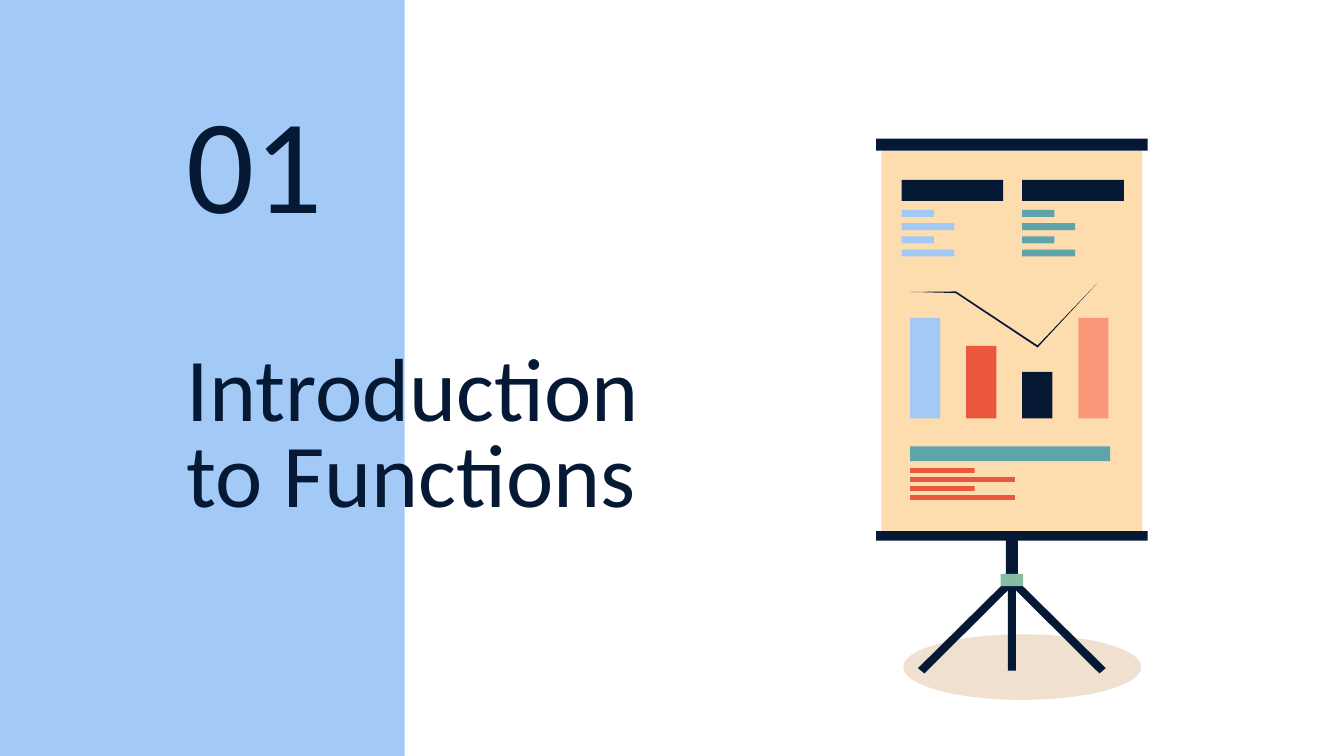
from lxml import etree
from pptx import Presentation
from pptx.dml.color import RGBColor
from pptx.enum.shapes import MSO_SHAPE
from pptx.enum.text import MSO_ANCHOR
from pptx.oxml.ns import qn
from pptx.util import Cm, Pt

NAVY, BLUE, TEAL, RED = "051934", "A3CAF7", "5FA4AB", "EB573D"
SALMON, PAPER, GREEN, BROWN = "FA9778", "FDDCAE", "85BCA2", "B45F06"


def paint(shape, color, alpha=None):
    shape.shadow.inherit = False
    shape.line.fill.background()
    shape.fill.solid()
    shape.fill.fore_color.rgb = RGBColor.from_string(color)
    if alpha is not None:
        tint = shape.fill._xPr.find(".//" + qn("a:srgbClr"))
        etree.SubElement(tint, qn("a:alpha")).set("val", str(alpha * 1000))


def block(shapes, box, x, y, w, h, color, kind=MSO_SHAPE.RECTANGLE, alpha=None):
    shape = shapes.add_shape(kind, Cm(box[0] + x), Cm(box[1] + y), Cm(w), Cm(h))
    paint(shape, color, alpha)


def polygon(shapes, box, points, color):
    spots = [(Cm(box[0] + x), Cm(box[1] + y)) for x, y in points]
    builder = shapes.build_freeform(*spots[0])
    builder.add_line_segments(spots[1:], close=True)
    paint(builder.convert_to_shape(), color)


def text_rows(shapes, box, x, y, pitch, h, widths, color):
    for row in range(4):
        block(shapes, box, x, y + row * pitch, widths[row % 2], h, color)


def heading(shapes, box, text, size, anchor, spacing=1.0):
    frame = shapes.add_textbox(*map(Cm, box)).text_frame
    frame.word_wrap = True
    frame.vertical_anchor = anchor
    frame.margin_left = frame.margin_right = Cm(0.25)
    frame.margin_top = frame.margin_bottom = Cm(0.25)
    paragraph = frame.paragraphs[0]
    paragraph.line_spacing = spacing
    run = paragraph.add_run()
    run.text = text
    run.font.name = "Calibri"
    run.font.size = Pt(size)
    run.font.color.rgb = RGBColor.from_string(NAVY)


def stand(shapes, box):
    middle = box[2] / 2
    leg = [(2.51, 8.31), (0.79, 10.01), (0.91, 10.11), (2.62, 8.41)]
    polygon(shapes, box, leg, NAVY)
    polygon(shapes, box, [(2 * middle - x, y) for x, y in leg], NAVY)
    for y, w, h, color in [(8.1, 0.15, 1.96, NAVY), (7.42, 0.23, 1.04, NAVY),
                           (8.23, 0.43, 0.23, GREEN)]:
        block(shapes, box, middle - w / 2, y, w, h, color)


def sheet(shapes, box):
    block(shapes, box, 0.1, 0.23, box[2] - 0.2, 7.19, PAPER)
    block(shapes, box, 0, 7.42, box[2], 0.18, NAVY)
    block(shapes, box, 0, 0, box[2], 0.23, NAVY)
    for column, color in enumerate([BLUE, TEAL]):
        x = 0.48 + column * 2.28
        block(shapes, box, x, 0.78, 1.92, 0.4, NAVY)
        text_rows(shapes, box, x, 1.35, 0.25, 0.13, (0.61, 1.0), color)
    block(shapes, box, 0.64, 5.82, 3.78, 0.28, TEAL)
    text_rows(shapes, box, 0.64, 6.23, 0.17, 0.09, (1.22, 1.98), RED)


def bars_and_trend(shapes, box):
    bars = [(1.9, BLUE), (1.37, RED), (0.88, NAVY), (1.9, SALMON)]
    for i, (height, color) in enumerate(bars):
        block(shapes, box, 0.64 + i * 1.06, 5.29 - height, 0.57, height, color)
    polygon(shapes, box, [(4.17, 2.74), (3.05, 3.91), (1.51, 2.89), (0.64, 2.9),
                          (1.5, 2.92), (3.05, 3.95)], NAVY)


def flipchart(slide, box):
    block(slide.shapes, box, 0.51, 9.37, 4.5, 1.24, BROWN, MSO_SHAPE.OVAL, 19)
    shapes = slide.shapes.add_group_shape().shapes
    for part in (stand, sheet, bars_and_trend):
        part(shapes, box)


def section_title(slide, box):
    x, y, w = box
    heading(slide.shapes, (x, y + 4.5, w, 2.34), "Introduction to Functions", 48,
            MSO_ANCHOR.MIDDLE, 0.8)
    heading(slide.shapes, (x, y, 6.99, 2.18), "01", 72, MSO_ANCHOR.BOTTOM)


prs = Presentation()
prs.slide_width, prs.slide_height = Cm(25.4), Cm(14.29)
slide = prs.slides.add_slide(prs.slide_layouts[6])
block(slide.shapes, (0, 0), -0.05, -0.05, 7.7, 14.35, BLUE)
section_title(slide, (3.28, 2.62, 10.77))
flipchart(slide, (16.56, 2.62, 5.13))
prs.save("out.pptx")
